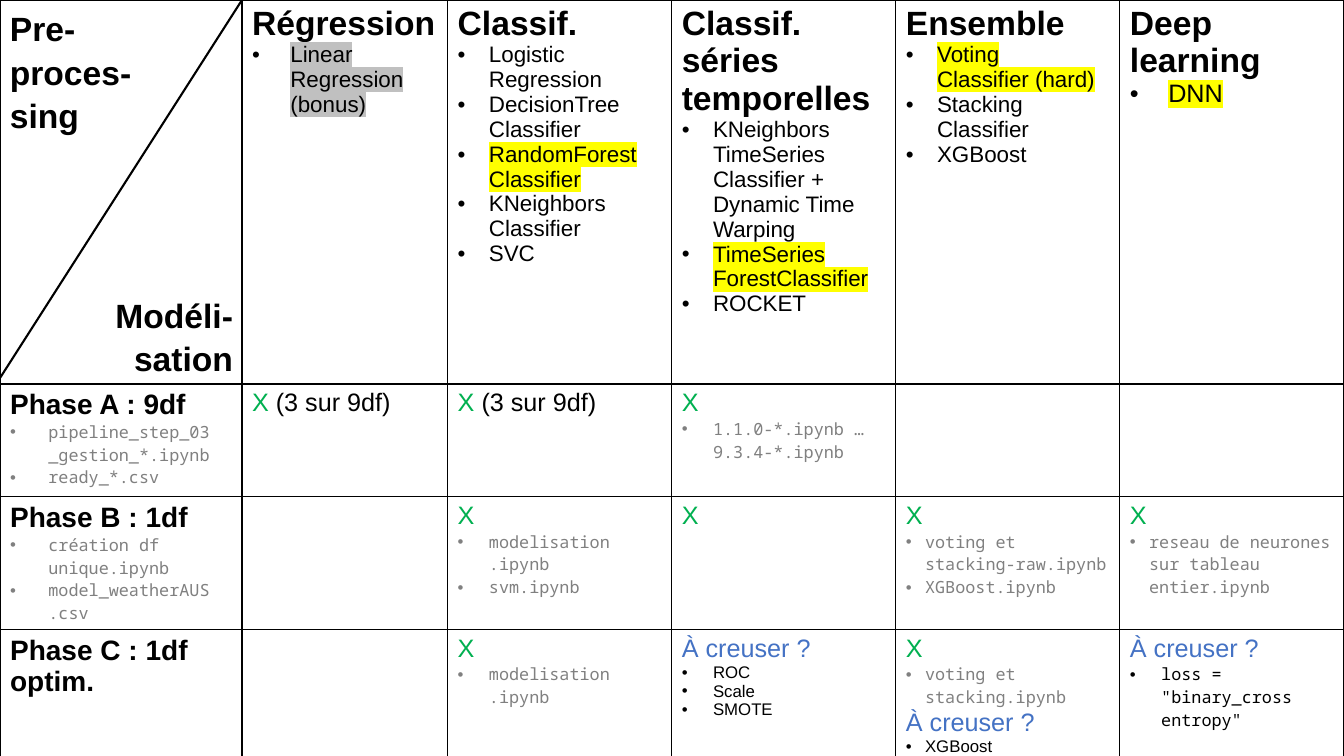
import copy
import pptx
import pptx.dml.color
import pptx.enum.shapes
import pptx.enum.text
import pptx.oxml
import pptx.oxml.ns
import pptx.util

Inches, Pt = pptx.util.Inches, pptx.util.Pt
MAIN = pptx.oxml.ns.nsdecls("a")
BLACK, GREY, GREEN, BLUE = "000000", "808080", "00B050", "4472C4"
YELLOW, SILVER = "FFFF00", "C0C0C0"


def rgb(hex_code):
    return pptx.dml.color.RGBColor.from_string(hex_code)


def write(frame, text, size=16, color=BLACK, font="Arial", bold=False,
          highlight=None, indent=0, align=None, spacing=None, joined=False):
    """Add a paragraph to the frame, or extend its last one when joined."""
    paragraph = frame.paragraphs[-1]
    if paragraph.runs and not joined:
        paragraph = frame.add_paragraph()
    if align is not None:
        paragraph.alignment = align
    if spacing:
        paragraph.line_spacing = spacing
    if indent:
        properties = paragraph._p.get_or_add_pPr()
        properties.set("marL", str(Inches(indent)))
        properties.set("indent", str(-Inches(indent)))
        for bullet in ('buFont {} typeface="Arial"', 'buChar {} char="•"'):
            properties.append(pptx.oxml.parse_xml(f"<a:{bullet.format(MAIN)}/>"))
    for number, line in enumerate(text.split("\n")):
        if number:
            paragraph.add_line_break()
            paragraph._p[-1].append(copy.deepcopy(run.font._element))
        run = paragraph.add_run()
        run.text = line
        run.font.size, run.font.bold, run.font.name = Pt(size), bold, font
        run.font.color.rgb = rgb(color)
        if highlight:
            run.font._element.find(pptx.oxml.ns.qn("a:solidFill")).addnext(
                pptx.oxml.parse_xml(f'<a:highlight {MAIN}><a:srgbClr val="{highlight}"/></a:highlight>'))


# Formats of the text parts
family = dict(size=24, bold=True)
phase = dict(size=20, bold=True)
model = dict(indent=0.31)
chosen = dict(indent=0.31, highlight=YELLOW)
notebook = dict(size=12, font="Noto Sans Mono", color=GREY, indent=0.31)
dataset = {**notebook, "indent": 0.38}
narrow = {**notebook, "indent": 0.19}
idea = dict(size=12, indent=0.31)
done = ("X", dict(size=18, color=GREEN))
explore = ("À creuser ?", dict(size=18, color=BLUE))
partial = [done, (" (3 sur 9df)", dict(size=18, joined=True))]

# Content of the matrix: preprocessing phases by model families
matrix = [
    [
        [],
        [("Régression", family),
         ("Linear\nRegression (bonus)", dict(indent=0.38, highlight=SILVER))],
        [("Classif.", family), ("Logistic\nRegression", model),
         ("DecisionTree\nClassifier", model), ("RandomForest\nClassifier", chosen),
         ("KNeighbors\nClassifier", model), ("SVC", model)],
        [("Classif. séries temporelles", family),
         ("KNeighbors\nTimeSeries\nClassifier + Dynamic Time Warping", model),
         ("TimeSeries\nForestClassifier", chosen), ("ROCKET", model)],
        [("Ensemble", family), ("Voting\nClassifier (hard)", chosen),
         ("Stacking\nClassifier", model), ("XGBoost", model)],
        [("Deep learning", family), ("DNN", dict(size=18, indent=0.38, highlight=YELLOW))],
    ],
    [
        [("Phase A : 9df", phase), ("pipeline_step_03\n_gestion_*.ipynb", dataset),
         ("ready_*.csv", dataset)],
        partial,
        partial,
        [done, ("1.1.0-*.ipynb … 9.3.4-*.ipynb", notebook)],
        [],
        [],
    ],
    [
        [("Phase B : 1df", phase), ("création df unique.ipynb", dataset),
         ("model_weatherAUS\n.csv", dataset)],
        [],
        [done, ("modelisation\n.ipynb", notebook), ("svm.ipynb", notebook)],
        [done],
        [done, ("voting et stacking-raw.ipynb", narrow), ("XGBoost.ipynb", narrow)],
        [done, ("reseau de neurones sur tableau entier.ipynb", narrow)],
    ],
    [
        [("Phase C : 1df optim.", phase)],
        [],
        [done, ("modelisation\n.ipynb", notebook)],
        [explore, ("ROC", idea), ("Scale", idea), ("SMOTE", idea)],
        [done, ("voting et stacking.ipynb", narrow), explore,
         ("XGBoost", {**idea, "indent": 0.19})],
        [explore, ('loss = "binary_cross\nentropy"', {**notebook, "color": BLACK})],
    ],
]

# Slide and grid
deck = pptx.Presentation()
deck.slide_width, deck.slide_height = Inches(13.33), Inches(7.5)
slide = deck.slides.add_slide(deck.slide_layouts[6])
phase_width, regression_width = 2.4, 2.04
family_width = (13.33 - phase_width - regression_width) / 4
column_widths = [phase_width, regression_width] + [family_width] * 4
row_heights = [3.81, 1.12, 1.27, 1.3]

# Table
table = slide.shapes.add_table(len(row_heights), len(column_widths), 0, 0,
                               deck.slide_width, deck.slide_height).table
table.first_row = table.horz_banding = False
for column, width in zip(table.columns, column_widths):
    column.width = Inches(width)
for row, height, contents in zip(table.rows, row_heights, matrix):
    row.height = Inches(height)
    for cell, parts in zip(row.cells, contents):
        for text, style in parts:
            write(cell.text_frame, text, **style)
        borders = cell._tc.get_or_add_tcPr()
        for side in "LRTB":
            borders.append(pptx.oxml.parse_xml(
                f'<a:ln{side} {MAIN} w="{Pt(1)}"><a:solidFill>'
                f'<a:srgbClr val="{BLACK}"/></a:solidFill></a:ln{side}>'))
        cell.fill.background()

# Diagonal of the corner cell
corner_height = 3.75
diagonal = slide.shapes.add_connector(
    pptx.enum.shapes.MSO_CONNECTOR.STRAIGHT,
    0, Inches(corner_height), Inches(phase_width), 0)
diagonal.line.color.rgb = rgb(BLACK)
diagonal.line.width = Pt(1.5)
diagonal._element.spPr.append(pptx.oxml.parse_xml(f"<a:effectLst {MAIN}/>"))

# Axis names in the corner cell
left, right = pptx.enum.text.PP_ALIGN.LEFT, pptx.enum.text.PP_ALIGN.RIGHT
for lines, x, y, width, height, align in [
    (["Pre-", "proces-\nsing"], 0, 0, 1.44, 1.31, left),
    (["Modéli-\nsation"], 1.03, 2.84, 1.38, 0.91, right),
]:
    axis = slide.shapes.add_textbox(*map(Inches, (x, y, width, height))).text_frame
    axis.word_wrap = False
    axis.auto_size = pptx.enum.text.MSO_AUTO_SIZE.SHAPE_TO_FIT_TEXT
    for line in lines:
        write(axis, line, align=align, spacing=1.08, **family)

deck.save("out.pptx")
